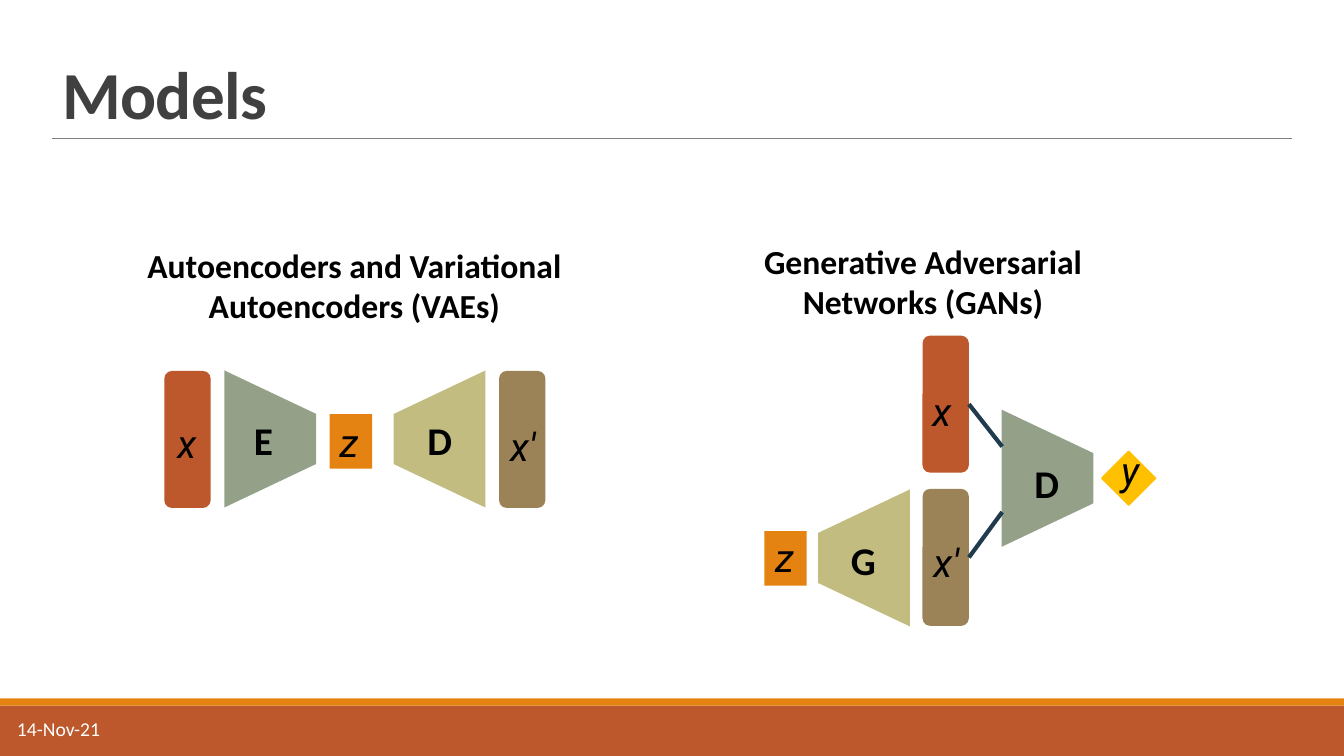
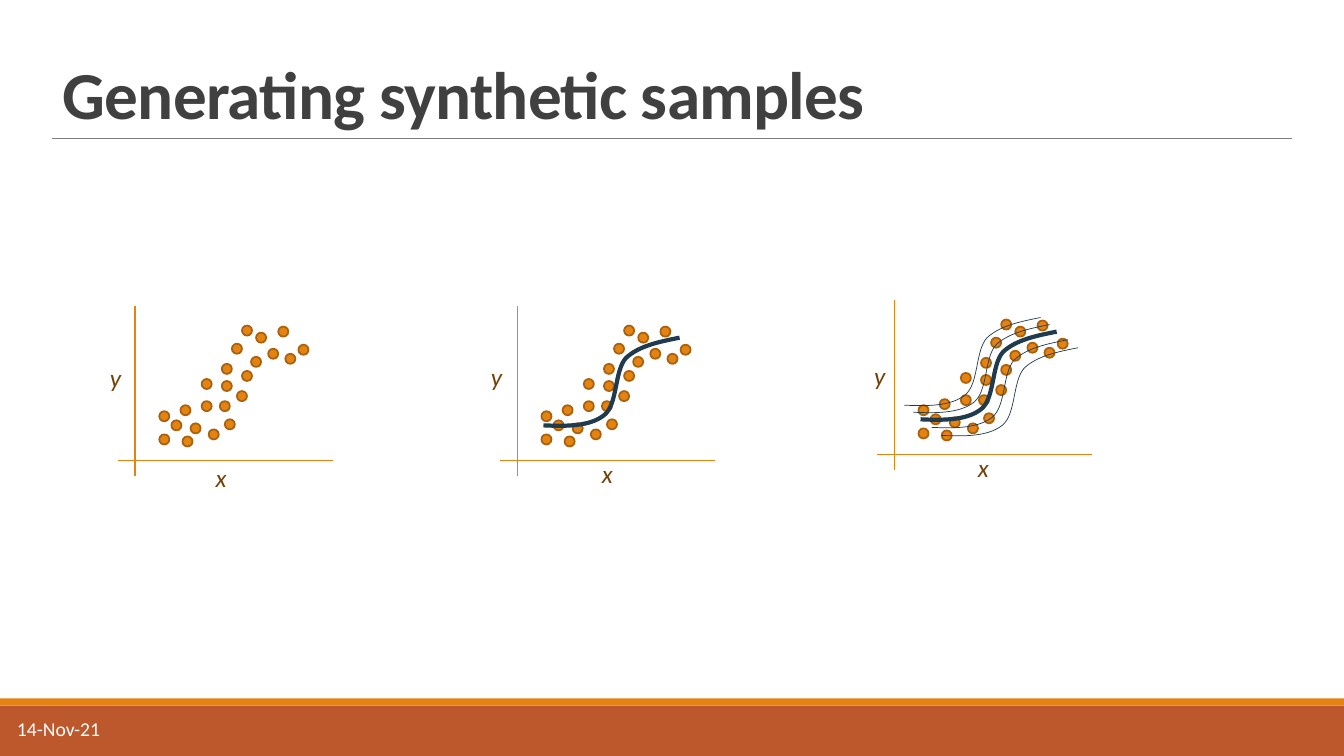
from dataclasses import dataclass
from lxml import etree
from pptx import Presentation
from pptx.dml.color import RGBColor
from pptx.enum import shapes as es, text as et
from pptx.oxml import ns
from pptx.util import Inches, Pt


@dataclass(frozen=True)
class Theme:
    rust: str = "BD582C"
    amber: str = "E48312"
    sage: str = "94A088"
    olive: str = "C2BC80"
    brown: str = "9B8357"
    gold: str = "FFC000"
    navy: str = "203A4E"
    rim: str = "A9610D"
    label: str = "724209"
    rule: str = "808080"
    head: str = "404040"
    black: str = "000000"
    white: str = "FFFFFF"
    font: str = "Calibri"
    math: str = "Roboto"
    title: int = 48
    sub: int = 24
    sign: int = 28
    axis: int = 18
    date: int = 14


T = Theme()
KIND = es.MSO_SHAPE
ALIGN = et.PP_ALIGN

DATE = "14-Nov-21"
TITLES = ["Models", "Generating synthetic samples"]

BAR = (0.46, 1.36)
CELL = (0.42, 0.54)
TRAP = (1.36, 0.91)
BARS = [
    (1.63, 3.68, T.rust), (4.95, 3.68, T.brown),
    (9.15, 3.33, T.rust), (9.15, 4.85, T.brown),
]
TRAPS = [
    (2, 3.9, 90, T.sage), (3.68, 3.9, 270, T.olive),
    (9.71, 4.29, 90, T.sage), (7.89, 5.08, 270, T.olive),
]
CELLS = [(3.27, 4.11), (7.58, 5.27)]
HEADS = [
    ("Autoencoders and Variational Autoencoders (VAEs)", 1.34, 2.38),
    ("Generative Adversarial Networks (GANs)", 6.98, 2.34),
]
NETS = [
    ("E", 2.42, 4.08, 0.39), ("D", 4.14, 4.08, 0.45),
    ("G", 8.34, 5.27, 0.45), ("D", 10.16, 4.51, 0.45),
]
VARS = [
    ("x", 1.66, 4.11, 0.39), ("x'", 4.96, 4.14, 0.48), ("z", 3.27, 4.1, 0.39),
    ("z", 7.59, 5.24, 0.39), ("x", 9.15, 3.79, 0.39), ("x'", 9.16, 5.29, 0.48),
    ("y", 11.02, 4.38, 0.35),
]
JOINS = [(2, 4.43), (3, 5.08)]

DOTS = [
    (1.58, 4.08), (1.58, 4.31), (1.79, 4.02), (2.54, 3.3), (2.66, 3.46),
    (2.76, 3.24), (2.83, 3.51), (2.49, 3.54), (2.4, 3.68), (2.2, 3.61),
    (2.3, 3.41), (2.2, 3.78), (2.35, 3.88), (2.18, 3.98), (2.4, 3.23),
    (1.7, 4.17), (1.89, 4.2), (1.81, 4.33), (2, 3.98), (2.07, 4.26),
    (2.23, 4.16), (2, 3.76), (2.96, 3.42),
]
AXES = [(1.34, 3.04, 1.34, 4.72), (1.17, 4.57, 3.3, 4.57)]
CURVE = [
    (1.6, 4.22), (1.83, 4.23), (2.06, 4.23), (2.2, 4.12), (2.34, 4.01),
    (2.3, 3.68), (2.42, 3.55), (2.55, 3.43), (2.75, 3.39), (2.95, 3.35),
]
PLOTS = [
    dict(shift=(0, 0), fit=False, near=[], x=(2.04, 4.54), y=(0.99, 3.55)),
    dict(shift=(3.79, 0), fit=True, near=[], x=(5.87, 4.5), y=(4.77, 3.54)),
    dict(shift=(7.53, -0.06), fit=True, x=(9.6, 4.44), y=(8.57, 3.53),
         near=[(0.11, 0.08), (0.21, 0.16), (-0.07, -0.07), (-0.16, -0.14)]),
]


def rgb(code):
    return RGBColor.from_string(code)


def write(frame, words, size, color, font=T.font, bold=False, italic=False,
          align=ALIGN.LEFT, wrap=True, grow=False, space=None, track=None):
    frame.word_wrap = wrap
    frame.auto_size = (et.MSO_AUTO_SIZE.SHAPE_TO_FIT_TEXT if grow
                       else et.MSO_AUTO_SIZE.NONE)
    para = frame.paragraphs[0]
    para.alignment = align
    if space:
        para.line_spacing = space
    run = para.add_run()
    run.text = words
    face = run.font
    face.name, face.size, face.bold, face.italic = font, Pt(size), bold, italic
    face.color.rgb = rgb(color)
    if track:
        run._r.get_or_add_rPr().set("spc", str(track))


def label(page, words, x, y, w, h, **form):
    box = page.shapes.add_textbox(Inches(x), Inches(y), Inches(w), Inches(h))
    write(box.text_frame, words, **form)


def draw(host, kind, x, y, w, h, fill, line=None, turn=0):
    item = host.shapes.add_shape(kind, Inches(x), Inches(y), Inches(w), Inches(h))
    item.shadow.inherit = False
    item.rotation = turn
    item.fill.solid()
    item.fill.fore_color.rgb = rgb(fill)
    if line:
        item.line.color.rgb = rgb(line)
        item.line.width = Pt(1.25)
    else:
        item.line.fill.background()
    return item


def link(host, ends, color, width):
    item = host.shapes.add_connector(
        es.MSO_CONNECTOR.STRAIGHT, *[Inches(end) for end in ends])
    item.line.color.rgb = rgb(color)
    item.line.width = Pt(width)
    etree.SubElement(item.element.spPr, ns.qn("a:effectLst"))
    return item


def curve(host, dx, dy, width):
    spots = [(Inches(x + dx), Inches(y + dy)) for x, y in CURVE]
    pen = host.shapes.build_freeform(*spots[0], scale=1.0)
    pen.add_line_segments(spots[1:], close=False)
    item = pen.convert_to_shape()
    item.shadow.inherit = False
    item.fill.background()
    item.line.color.rgb = rgb(T.navy)
    item.line.width = Pt(width)
    legs = item.element.xpath(".//a:lnTo")
    for i in range(0, len(legs), 3):
        bend = etree.Element(ns.qn("a:cubicBezTo"))
        legs[i].addprevious(bend)
        for leg in legs[i:i + 3]:
            bend.append(leg[0])
            leg.getparent().remove(leg)


def dress(layout, page):
    head = layout.placeholders[0]
    head.left, head.top = Inches(0.52), Inches(0.31)
    head.width, head.height = Inches(12.29), Inches(1.06)
    parts = [
        draw(page, KIND.RECTANGLE, 0, 7, 13.33, 0.5, T.rust),
        draw(page, KIND.RECTANGLE, 0, 6.93, 13.33, 0.07, T.amber),
        link(page, (0.52, 1.37, 12.81, 1.37), T.rule, 0.5),
    ]
    for i, part in enumerate(parts):
        part.element.xpath(".//p:cNvPr")[0].set("id", str(20 + i))
        layout.shapes.element.insert(2 + i, part.element)


def begin(page, title):
    frame = page.shapes.title.text_frame
    frame.vertical_anchor = et.MSO_ANCHOR.BOTTOM
    write(frame, title, T.title, T.head, bold=True, space=0.85, track=-50)
    label(page, DATE, 0.07, 7.06, 2.7, 0.4, size=T.date, color=T.white)


def models(page):
    bars = [draw(page, KIND.ROUNDED_RECTANGLE, x, y, *BAR, fill)
            for x, y, fill in BARS]
    for x, y, turn, fill in TRAPS:
        trap = draw(page, KIND.TRAPEZOID, x, y, *TRAP, fill, turn=turn)
        trap.adjustments[0] = 0.474
    for x, y in CELLS:
        draw(page, KIND.RECTANGLE, x, y, *CELL, T.amber)
    draw(page, KIND.DIAMOND, 10.93, 4.48, 0.53, 0.53, T.gold, T.gold)
    for i, y in JOINS:
        wire = link(page, (9.61, y, 9.94, y), T.navy, 3)
        wire.begin_connect(bars[i], 3)
    for words, x, y in HEADS:
        label(page, words, x, y, 4.35, 0.91, size=T.sub, color=T.black,
              bold=True, align=ALIGN.CENTER, grow=True)
    for group, form in ((NETS, dict(bold=True)),
                        (VARS, dict(italic=True, font=T.math))):
        for words, x, y, w in group:
            label(page, words, x, y, w, 0.57, size=T.sign, color=T.black,
                  wrap=False, grow=True, **form)


def samples(page):
    for plot in PLOTS:
        dx, dy = plot["shift"]
        group = page.shapes.add_group_shape()
        for x, y in DOTS:
            draw(group, KIND.OVAL, x + dx, y + dy, 0.1, 0.1, T.amber, T.rim)
        for x, y, right, low in AXES:
            link(group, (x + dx, y + dy, right + dx, low + dy), T.amber, 1)
        if plot["fit"]:
            curve(group, dx, dy, 3)
        for x, y in plot["near"]:
            curve(page, dx + x, dy + y, 0.5)
        for name in "xy":
            label(page, name, *plot[name], 0.31, 0.4, size=T.axis,
                  color=T.label, italic=True, wrap=False, grow=True)


def main():
    deck = Presentation()
    deck.slide_width, deck.slide_height = Inches(13.33), Inches(7.5)
    layout = deck.slide_layouts[5]
    pages = [deck.slides.add_slide(layout) for _ in TITLES]
    dress(layout, pages[0])
    for page, title, fill in zip(pages, TITLES, (models, samples)):
        begin(page, title)
        fill(page)
    deck.save("out.pptx")


if __name__ == "__main__":
    main()
